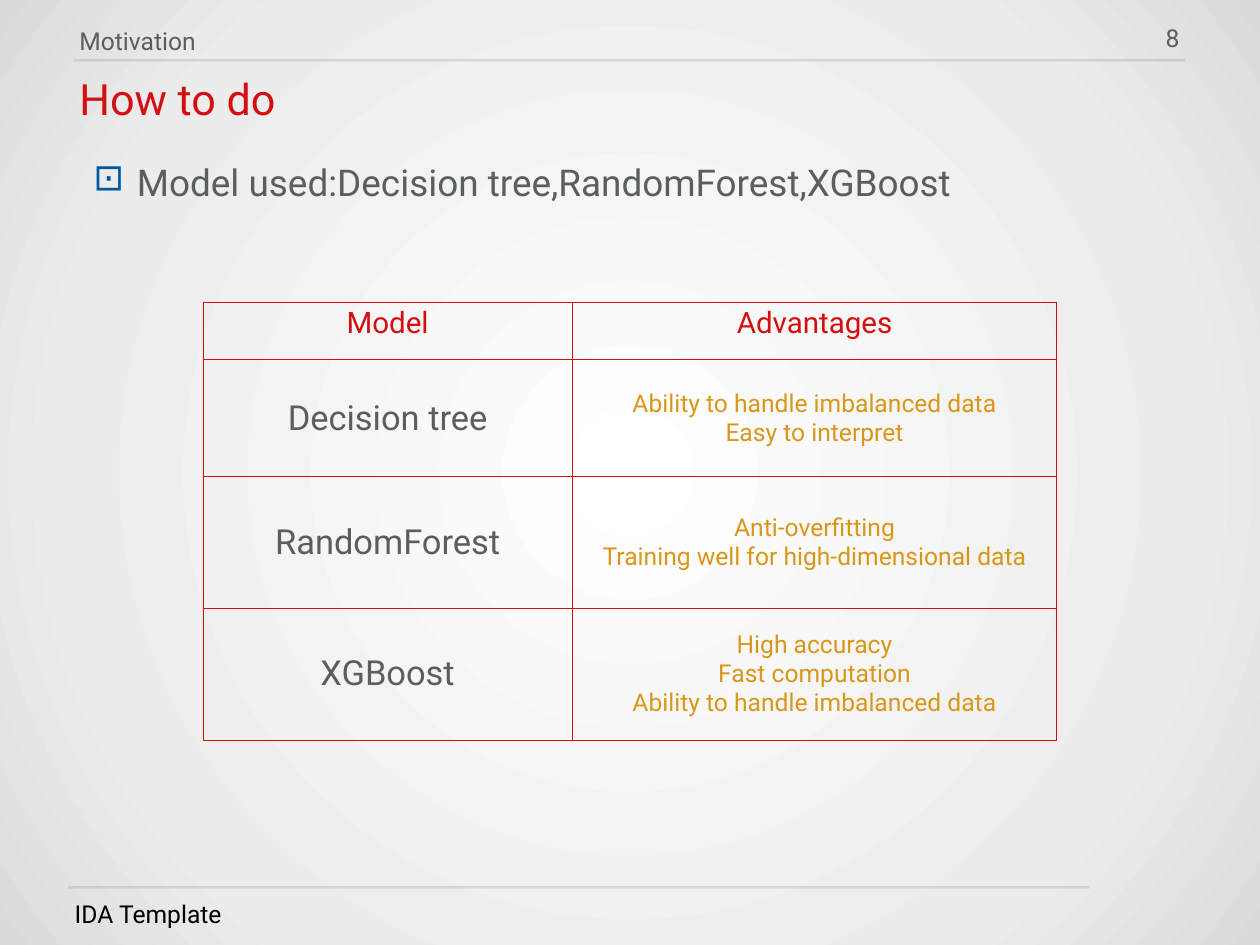
from dataclasses import dataclass

from lxml import etree
from pptx import Presentation
from pptx import util as u
from pptx.dml.color import RGBColor
from pptx.enum import shapes, text
from pptx.oxml import ns


@dataclass(frozen=True)
class Theme:
    font: str = "Roboto"
    grey: str = "5A5F5E"
    red: str = "D30F11"
    gold: str = "D9971A"
    blue: str = "00599E"
    black: str = "000000"
    backdrop: tuple = ((0, "FFFFFF"), (73, "ECECEC"), (100, "DADADA"))
    small: int = 20
    heading: int = 24
    model: int = 28
    point: int = 30
    title: int = 35
    inset: float = 4.5


THEME = Theme()
WIDTH, HEIGHT = 1024, 768
LEFT, RIGHT, CENTER = text.PP_ALIGN.LEFT, text.PP_ALIGN.RIGHT, text.PP_ALIGN.CENTER

COLUMNS = (300, 394)
ROWS = (47, 95, 107, 107)
HEADINGS = ("Model", "Advantages")
MODELS = (
    ("Decision tree", ("Ability to handle imbalanced data", "Easy to interpret")),
    ("RandomForest", ("Anti-overfitting", "Training well for high-dimensional data")),
    ("XGBoost", ("High accuracy", "Fast computation", "Ability to handle imbalanced data")),
)


def add_xml(parent, tag, **attributes):
    return etree.SubElement(parent, ns.qn(tag), attributes)


def add_color(parent, color):
    return add_xml(add_xml(parent, "a:solidFill"), "a:srgbClr", val=color)


def write(paragraph, words, size, color, align=LEFT):
    paragraph.alignment = align
    run = paragraph.add_run()
    run.text = words
    run.font.name = THEME.font
    run.font.size = u.Pt(size)
    run.font.color.rgb = RGBColor.from_string(color)


def add_label(slide, box, words, size, color, align=LEFT, anchor=text.MSO_ANCHOR.TOP):
    """Add one line of text in the box and return its paragraph."""
    frame = slide.shapes.add_textbox(*map(u.Pt, box)).text_frame
    frame.word_wrap = True
    frame.vertical_anchor = anchor
    frame.margin_left = frame.margin_right = u.Pt(THEME.inset)
    frame.margin_top = frame.margin_bottom = u.Pt(THEME.inset)
    paragraph = frame.paragraphs[0]
    write(paragraph, words, size, color, align)
    return paragraph


def add_rule(slide, left, top, width):
    """Add a faint horizontal line."""
    rule = slide.shapes.add_connector(
        shapes.MSO_CONNECTOR.STRAIGHT, *map(u.Pt, (left, top, left + width, top)))
    rule.line.width = u.Pt(2)
    rule.line.color.rgb = RGBColor.from_string(THEME.grey)
    add_xml(next(rule.element.iter(ns.qn("a:srgbClr"))), "a:alpha", val="16000")
    add_xml(rule.element.spPr, "a:effectLst")


def paint_background(slide):
    slide.background.fill.gradient()
    gradient = next(slide.element.iter(ns.qn("a:gradFill")))
    for part in list(gradient):
        gradient.remove(part)
    stops = add_xml(gradient, "a:gsLst")
    for percent, color in THEME.backdrop:
        stop = add_xml(stops, "a:gs", pos=str(percent * 1000))
        add_xml(stop, "a:srgbClr", val=color)
    circle = add_xml(gradient, "a:path", path="circle")
    add_xml(circle, "a:fillToRect", l="50000", t="50000", r="50000", b="50000")


def add_header(slide, box, section, number):
    left, top, width, height = box
    add_rule(slide, left, top + height, width)
    add_label(slide, (left + width - 39, top, 39, height), number,
              THEME.small, THEME.grey, RIGHT).line_spacing = 0.9
    add_label(slide, (left, top, 748, height), section, THEME.small, THEME.grey)


def add_body(slide, box, title, point):
    """Add the title and, below it, the bulleted point."""
    left, top, width, height = box
    add_label(slide, (left, top, width, 48), title,
              THEME.title, THEME.red).line_spacing = 0.9
    bullet = add_label(slide, (left + 11.5, top + 57, width - 23, height - 57),
                       point, THEME.point, THEME.grey)
    properties = bullet._p.get_or_add_pPr()
    indent = u.Pt(35.3)
    properties.set("marL", str(indent))
    properties.set("indent", str(-indent))
    add_xml(add_xml(properties, "a:buClr"), "a:srgbClr", val=THEME.blue)
    add_xml(properties, "a:buChar", char="⊡")
    bullet.line_spacing = u.Pt(45)


def add_footer(slide, box, words):
    left, top, width, height = box
    add_rule(slide, left, top, width)
    add_label(slide, (left + 0.7, top + 6, 431, height - 6), words,
              THEME.small, THEME.black, anchor=text.MSO_ANCHOR.BOTTOM)


def fill_cell(cell, lines, size, color, anchor):
    cell.vertical_anchor = anchor
    cell.fill.background()
    properties = cell._tc.get_or_add_tcPr()
    for place, side in enumerate(("a:lnL", "a:lnR", "a:lnT", "a:lnB")):
        border = add_xml(properties, side, w=str(u.Pt(1)))
        add_color(border, THEME.red)
        properties.insert(place, border)
    frame = cell.text_frame
    for index, line in enumerate(lines):
        paragraph = frame.add_paragraph() if index else frame.paragraphs[0]
        write(paragraph, line, size, color, CENTER)


def add_model_table(slide, box):
    table = slide.shapes.add_table(len(ROWS), len(COLUMNS), *map(u.Pt, box)).table
    table.first_row = table.horz_banding = False
    for column, width in zip(table.columns, COLUMNS):
        column.width = u.Pt(width)
    for row, height in zip(table.rows, ROWS):
        row.height = u.Pt(height)
    for column, heading in enumerate(HEADINGS):
        fill_cell(table.cell(0, column), (heading,), THEME.heading, THEME.red,
                  text.MSO_ANCHOR.TOP)
    for row, (model, advantages) in enumerate(MODELS, start=1):
        fill_cell(table.cell(row, 0), (model,), THEME.model, THEME.grey,
                  text.MSO_ANCHOR.MIDDLE)
        fill_cell(table.cell(row, 1), advantages, THEME.small, THEME.gold,
                  text.MSO_ANCHOR.MIDDLE)


def main():
    deck = Presentation()
    deck.slide_width, deck.slide_height = u.Pt(WIDTH), u.Pt(HEIGHT)
    slide = deck.slides.add_slide(deck.slide_layouts[6])
    paint_background(slide)
    add_header(slide, (60, 16.8, 903, 32), "Motivation", "8")
    add_body(slide, (60, 59.5, 903, 106), "How to do",
             "Model used:Decision tree,RandomForest,XGBoost")
    add_footer(slide, (55.5, 721.2, 830, 38), "IDA Template")
    add_model_table(slide, (165, 245.5, sum(COLUMNS), sum(ROWS)))
    deck.save("out.pptx")


if __name__ == "__main__":
    main()
